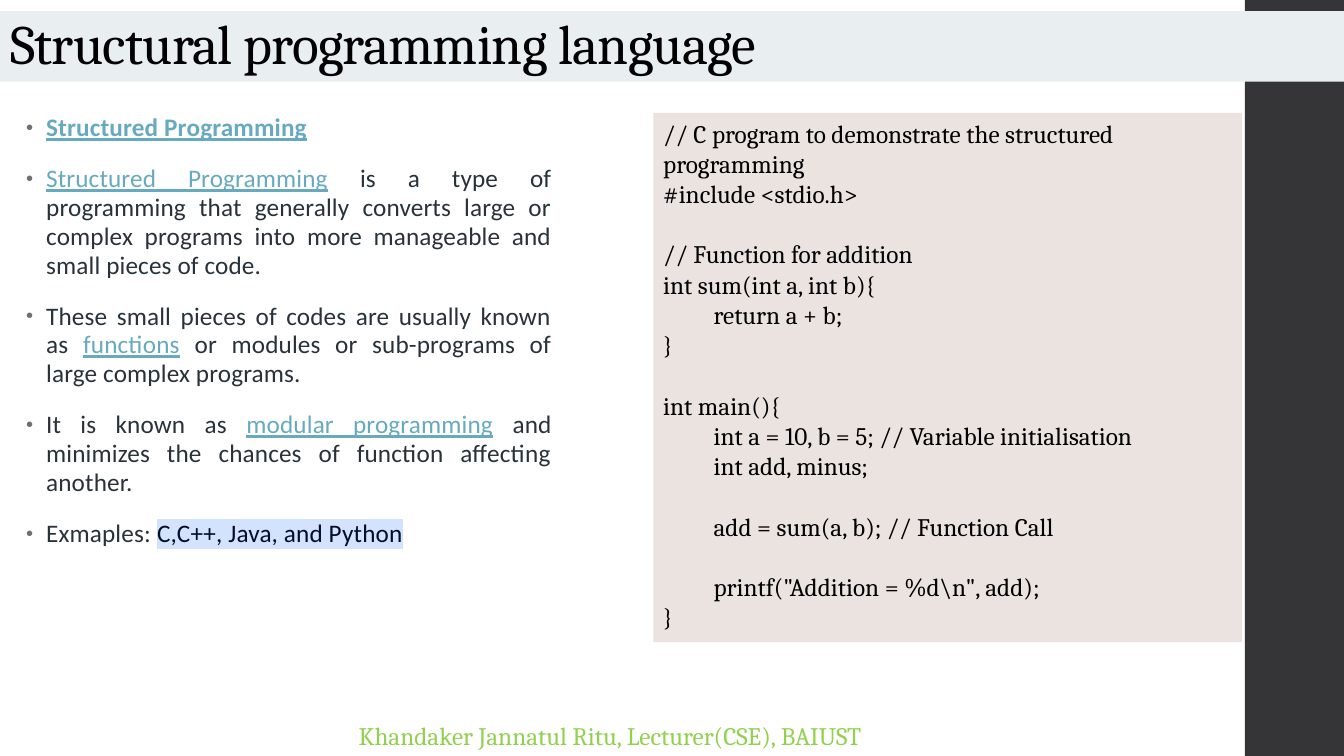
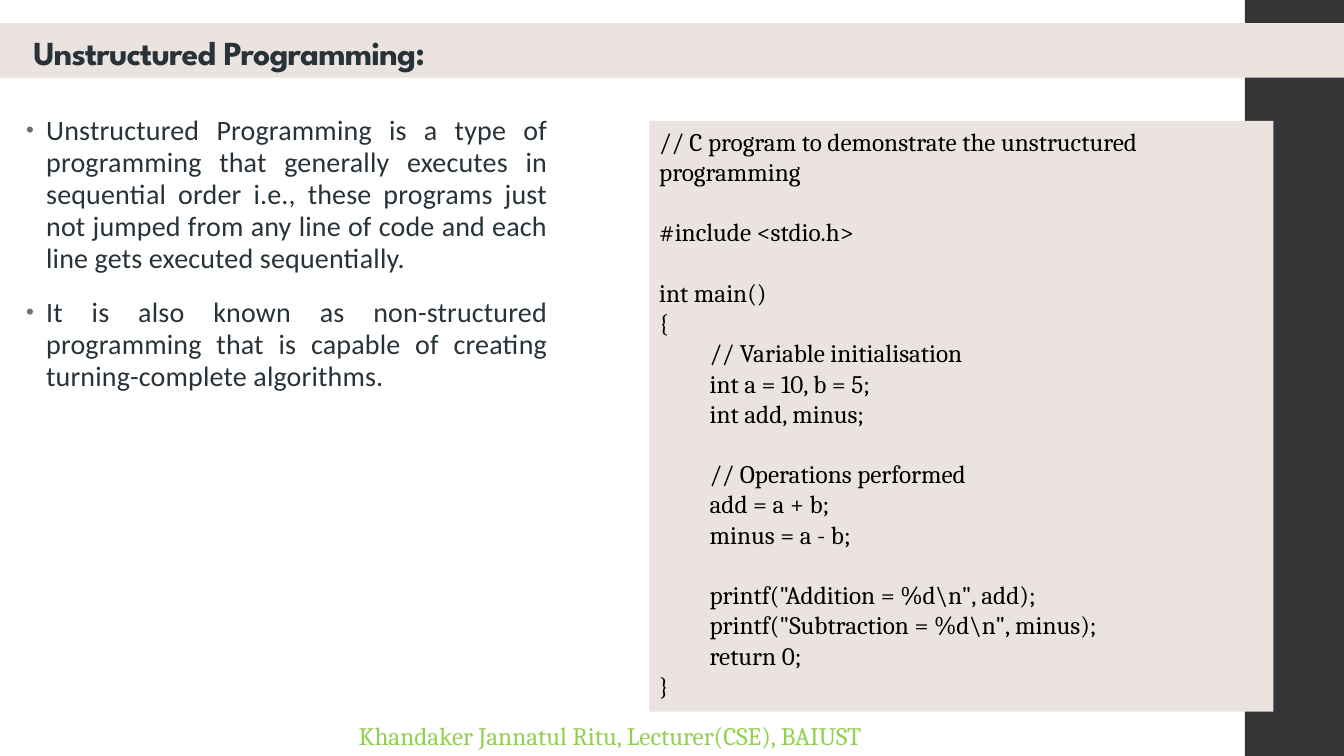
from dataclasses import dataclass
from typing import Optional

from lxml import etree
from pptx import Presentation
from pptx.dml.color import RGBColor
from pptx.enum.shapes import MSO_SHAPE
from pptx.enum.text import MSO_ANCHOR, MSO_AUTO_SIZE, PP_ALIGN
from pptx.oxml.ns import qn
from pptx.util import Emu, Inches, Pt

RECTANGLE = MSO_SHAPE.RECTANGLE
TOP, BOTTOM = MSO_ANCHOR.TOP, MSO_ANCHOR.BOTTOM
LEFT, JUSTIFY = PP_ALIGN.LEFT, PP_ALIGN.JUSTIFY
NO_AUTOFIT = MSO_AUTO_SIZE.NONE

SLIDE_WIDTH, SLIDE_HEIGHT = Inches(13.33), Inches(7.5)
TITLE_ONLY = 5  # index of the layout in the default template


@dataclass(frozen=True)
class Theme:
    side_band: str = "353537"
    mist: str = "E9EEF1"
    sand: str = "EBE3E0"
    ink: str = "273239"
    black: str = "000000"
    link: str = "67AABF"
    bullet: str = "6F6F74"
    footer: str = "92D050"
    marked_text: str = "040C28"
    marker: str = "D3E3FD"
    serif: str = "Cambria"
    sans: str = "Calibri"
    display: str = "League Spartan"
    text_size: float = 18
    large_text_size: float = 20
    heading_size: float = 24
    title_size: float = 39.6
    code_line: float = 21.6  # height of one line of code, in points


THEME = Theme()


@dataclass(frozen=True)
class Area:
    """A place on the slide, in hundredths of its width and height."""
    left: float
    top: float
    width: float
    height: float

    def emu(self) -> tuple[Emu, Emu, Emu, Emu]:
        across, down = SLIDE_WIDTH / 100, SLIDE_HEIGHT / 100
        return (Emu(round(self.left * across)), Emu(round(self.top * down)),
                Emu(round(self.width * across)), Emu(round(self.height * down)))


@dataclass(frozen=True)
class Phrase:
    text: str
    color: str = THEME.ink
    bold: bool = False
    underline: bool = False
    highlight: Optional[str] = None


@dataclass(frozen=True)
class Heading:
    text: str
    area: Area
    fill: str
    color: str
    font: str
    size: float
    bold: bool = False
    inset: float = 0.1


@dataclass(frozen=True)
class Lesson:
    heading: Heading
    points: tuple[tuple[Phrase, ...], ...]
    points_area: Area
    points_size: float
    code: str
    code_area: Area


SIDE_BAND = Area(92.62, 0, 7.5, 100)
FOOTER = Area(25.95, 94.67, 55.58, 5.33)
FOOTER_TEXT = "Khandaker Jannatul Ritu, Lecturer(CSE), BAIUST"

STRUCTURED_CODE = r"""
// C program to demonstrate the structured programming
#include <stdio.h>

// Function for addition
int sum(int a, int b){
    return a + b;
}

int main(){
    int a = 10, b = 5; // Variable initialisation
    int add, minus;

    add = sum(a, b); // Function Call

    printf("Addition = %d\n", add);
}
"""

UNSTRUCTURED_CODE = r"""
// C program to demonstrate the unstructured programming

#include <stdio.h>

int main()
{
    // Variable initialisation
    int a = 10, b = 5;
    int add, minus;

    // Operations performed
    add = a + b;
    minus = a - b;

    printf("Addition = %d\n", add);
    printf("Subtraction = %d\n", minus);
    return 0;
}
"""


def linked(text: str, bold: bool = False) -> Phrase:
    return Phrase(text, THEME.link, bold=bold, underline=True)


LESSONS = (
    Lesson(
        heading=Heading("Structural programming language", Area(0, 1.47, 100, 9.33),
                        THEME.mist, THEME.black, THEME.serif, THEME.title_size),
        points=(
            (linked("Structured Programming", bold=True),),
            (linked("Structured Programming"),
             Phrase(" is a type of programming that generally converts large or "
                    "complex programs into more manageable and small pieces of code.")),
            (Phrase("These small pieces of codes are usually known as "),
             linked("functions"),
             Phrase(" or modules or sub-programs of large complex programs.")),
            (Phrase("It is known as "),
             linked("modular programming"),
             Phrase(" and minimizes the chances of function affecting another.")),
            (Phrase("Exmaples: "),
             Phrase("C,C++, Java, and Python", THEME.marked_text,
                    highlight=THEME.marker)),
        ),
        points_area=Area(1.2, 14.4, 40.58, 82.5),
        points_size=THEME.text_size,
        code=STRUCTURED_CODE,
        code_area=Area(48.61, 14.93, 43.8, 70),
    ),
    Lesson(
        heading=Heading("Unstructured Programming:", Area(0, 3.07, 100, 7.2),
                        THEME.sand, THEME.ink, THEME.display, THEME.heading_size,
                        bold=True, inset=0.33),
        points=(
            (Phrase("Unstructured Programming is a type of programming that generally "
                    "executes in sequential order i.e., these programs just not jumped "
                    "from any line of code and each line gets executed sequentially."),),
            (Phrase("It is also known as non-structured programming that is capable "
                    "of creating turning-complete algorithms."),),
        ),
        points_area=Area(1.2, 14.53, 40.28, 82.4),
        points_size=THEME.large_text_size,
        code=UNSTRUCTURED_CODE,
        code_area=Area(48.31, 16, 46.44, 78.13),
    ),
)


def add_run(paragraph, text: str, *, font: str, size: float, color: str,
            bold: bool = False, underline: bool = False, tracking: float = 0,
            highlight: Optional[str] = None) -> None:
    """Append text in the given format; tracking is in points."""
    run = paragraph.add_run()
    run.text = text
    run.font.name, run.font.size = font, Pt(size)
    run.font.bold, run.font.underline = bold, underline
    run.font.color.rgb = RGBColor.from_string(color)
    properties = run.font._element
    if tracking:
        properties.set("spc", str(round(tracking * 100)))
    if highlight:
        mark = etree.Element(qn("a:highlight"))
        etree.SubElement(mark, qn("a:srgbClr"), val=highlight)
        properties.find(qn("a:solidFill")).addnext(mark)


def indent(paragraph, left: float, first: float = 0) -> None:
    properties = paragraph._p.get_or_add_pPr()
    properties.set("marL", str(Inches(left)))
    properties.set("indent", str(Inches(first)))


def add_bullet(paragraph) -> None:
    properties = paragraph._p.get_or_add_pPr()
    color = etree.SubElement(properties, qn("a:buClr"))
    etree.SubElement(color, qn("a:srgbClr"), val=THEME.bullet)
    etree.SubElement(properties, qn("a:buSzPct"), val="80000")
    etree.SubElement(properties, qn("a:buFont"), typeface="Arial")
    etree.SubElement(properties, qn("a:buChar"), char="•")


def add_panel(slide, area: Area, fill: str):
    panel = slide.shapes.add_shape(RECTANGLE, *area.emu())
    panel.shadow.inherit = False
    panel.fill.solid()
    panel.fill.fore_color.rgb = RGBColor.from_string(fill)
    panel.line.fill.background()
    return panel


def add_text_area(slide, area: Area):
    frame = slide.shapes.add_textbox(*area.emu()).text_frame
    frame.word_wrap = True
    return frame


def set_heading(slide, heading: Heading) -> None:
    title = slide.shapes.title
    title.left, title.top, title.width, title.height = heading.area.emu()
    title.fill.solid()
    title.fill.fore_color.rgb = RGBColor.from_string(heading.fill)
    frame = title.text_frame
    frame.auto_size, frame.vertical_anchor = NO_AUTOFIT, BOTTOM
    frame.margin_left = Inches(heading.inset)
    paragraph = frame.paragraphs[0]
    paragraph.alignment, paragraph.line_spacing = LEFT, 0.9
    add_run(paragraph, heading.text, font=heading.font, size=heading.size,
            color=heading.color, bold=heading.bold, tracking=-0.5)


def add_points(slide, lesson: Lesson) -> None:
    frame = add_text_area(slide, lesson.points_area)
    for number, phrases in enumerate(lesson.points):
        paragraph = frame.add_paragraph() if number else frame.paragraphs[0]
        paragraph.alignment, paragraph.line_spacing = JUSTIFY, 0.95
        paragraph.space_before, paragraph.space_after = Pt(14), Pt(2)
        indent(paragraph, 0.2, -0.2)
        add_bullet(paragraph)
        for phrase in phrases:
            add_run(paragraph, phrase.text, font=THEME.sans, size=lesson.points_size,
                    color=phrase.color, bold=phrase.bold, underline=phrase.underline,
                    tracking=0.1, highlight=phrase.highlight)


def add_code(slide, lesson: Lesson) -> None:
    """Draw a listing; a blank line becomes spacing, leading spaces an indent."""
    frame = add_panel(slide, lesson.code_area, THEME.sand).text_frame
    frame.word_wrap, frame.vertical_anchor = True, TOP
    paragraph, after_blank = frame.paragraphs[0], False
    for number, line in enumerate(lesson.code.strip().splitlines()):
        if not line:
            after_blank = True
            continue
        if number:
            paragraph = frame.add_paragraph()
        paragraph.alignment = LEFT
        indent(paragraph, 0.5 if line.startswith(" ") else 0)
        if after_blank:
            paragraph.space_before = Pt(THEME.code_line)
        add_run(paragraph, line.strip(), font=THEME.serif, size=THEME.text_size,
                color=THEME.black)
        after_blank = False


def add_footer(slide) -> None:
    frame = add_text_area(slide, FOOTER)
    add_run(frame.paragraphs[0], FOOTER_TEXT, font=THEME.serif,
            size=THEME.text_size, color=THEME.footer)


def add_side_band(slide) -> None:
    """Place the dark band behind everything else on the slide."""
    band = add_panel(slide, SIDE_BAND, THEME.side_band)
    slide.shapes.element.insert(2, band.element)


def main() -> None:
    deck = Presentation()
    deck.slide_width, deck.slide_height = SLIDE_WIDTH, SLIDE_HEIGHT
    for lesson in LESSONS:
        slide = deck.slides.add_slide(deck.slide_layouts[TITLE_ONLY])
        add_side_band(slide)
        set_heading(slide, lesson.heading)
        add_points(slide, lesson)
        add_footer(slide)
        add_code(slide, lesson)
    deck.save("out.pptx")


if __name__ == "__main__":
    main()
